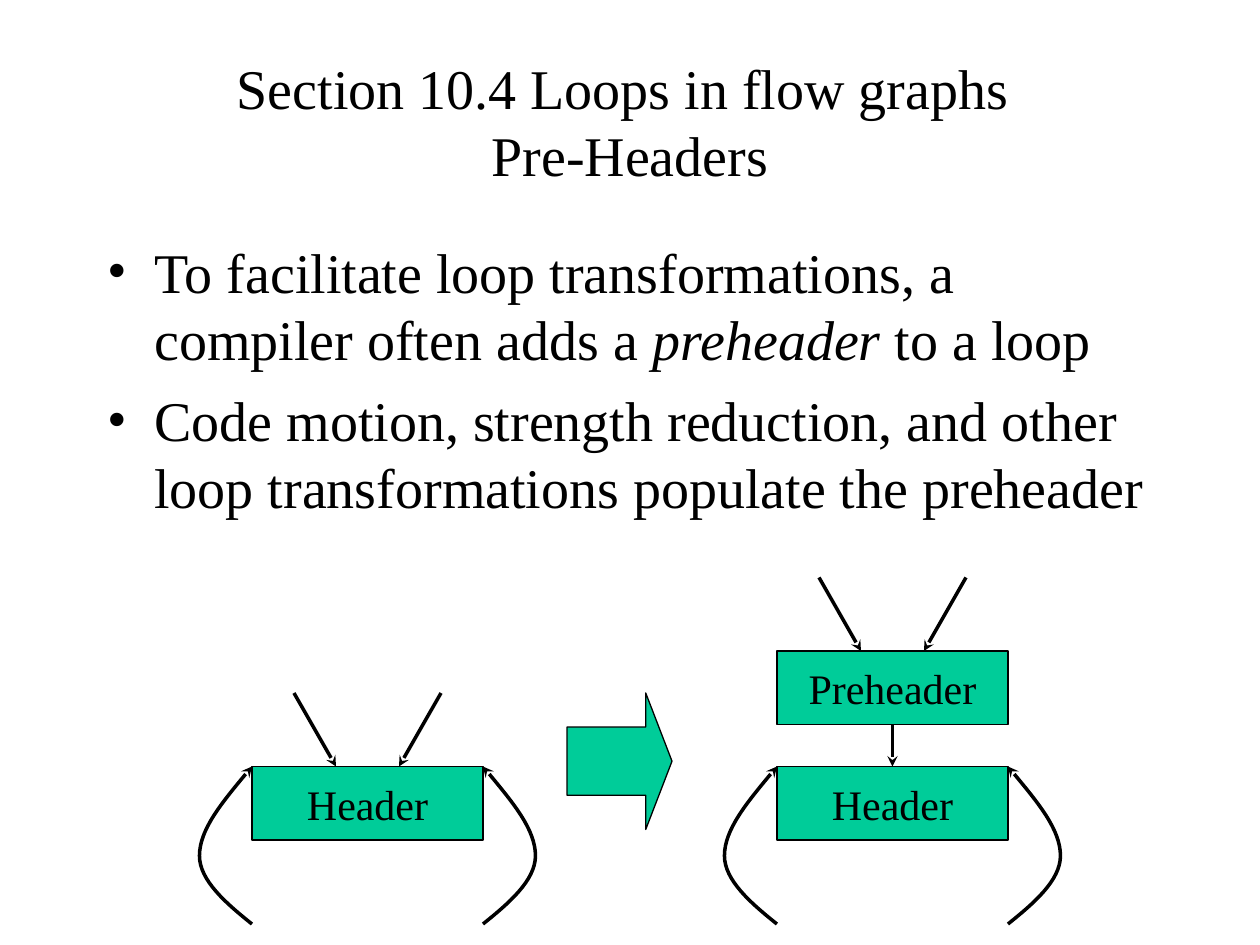
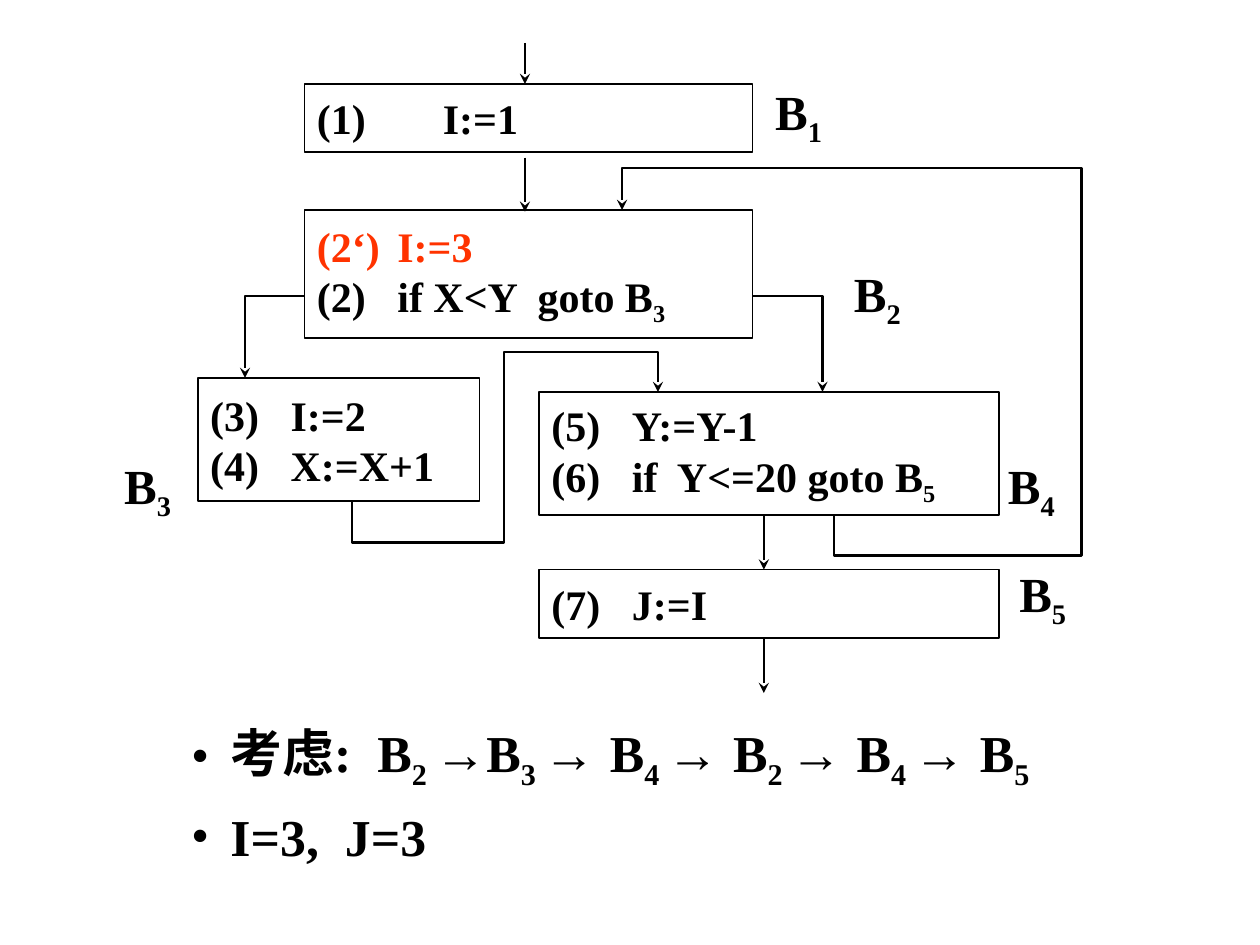
from pptx import Presentation
from pptx.dml.color import RGBColor
from pptx.enum.shapes import MSO_CONNECTOR as Conn, MSO_SHAPE as Kind
from pptx.enum.text import MSO_ANCHOR as Anchor, MSO_AUTO_SIZE as Fit, PP_ALIGN as Align
from pptx.oxml.ns import qn
from pptx.util import Pt
from lxml.etree import SubElement

BLACK = RGBColor(0x00, 0x00, 0x00)
GREEN = RGBColor(0x00, 0xCC, 0x99)
RED = RGBColor(0xFF, 0x33, 0x00)
SERIF, SANS = "Times New Roman", "Arial"


class Deck:
    """Holds the style and the current slide."""

    def __init__(self):
        self.prs = Presentation()
        self.prs.slide_width, self.prs.slide_height = Pt(720), Pt(540)
        self.slide = None

    def page(self):
        self.slide = self.prs.slides.add_slide(self.prs.slide_layouts[1])

    # Text
    def run(self, par, text, size, bold=False, italic=False, sub=False,
            color=BLACK, face=SERIF):
        run = par.add_run()
        run.text = text
        font = run.font
        font.name, font.size = face, Pt(size)
        font.bold, font.italic = bold, italic
        font.color.rgb = color
        if sub:
            run._r.get_or_add_rPr().set("baseline", "-25000")

    def frame(self, shape, anchor, wrap=True):
        frame = shape.text_frame
        frame.auto_size, frame.word_wrap = Fit.NONE, wrap
        frame.vertical_anchor = anchor
        return frame

    def place(self, shape, box):
        shape.left, shape.top, shape.width, shape.height = map(Pt, box)

    def title(self, lines, box):
        shape = self.slide.shapes.title
        self.place(shape, box)
        par = self.frame(shape, Anchor.MIDDLE).paragraphs[0]
        par.alignment = Align.CENTER
        for i, line in enumerate(lines):
            if i:
                par.add_line_break()
            self.run(par, line, 32)

    def drop_title(self):
        item = self.slide.shapes.title._element
        item.getparent().remove(item)

    def bullets(self, items, box, size, left, hang, level=0, bold=False):
        shape = self.slide.placeholders[1]
        self.place(shape, box)
        frame = self.frame(shape, Anchor.TOP)
        for i, runs in enumerate(items):
            par = frame.add_paragraph() if i else frame.paragraphs[0]
            par.level, par.space_before = level, Pt(8)
            props = par._p.get_or_add_pPr()
            props.set("marL", str(Pt(left)))
            props.set("indent", str(-Pt(hang)))
            SubElement(props, qn("a:buFont"), typeface=SERIF)
            SubElement(props, qn("a:buChar"), char="•")
            for text, style in runs:
                self.run(par, text, size, bold=bold, **style)

    def label(self, num, x, y):
        shape = self.slide.shapes.add_textbox(Pt(x), Pt(y), Pt(36.7), Pt(46.8))
        par = self.frame(shape, Anchor.MIDDLE, False).paragraphs[0]
        par.alignment = Align.CENTER
        self.run(par, "B", 28, bold=True)
        self.run(par, num, 28, bold=True, sub=True)

    # Shapes
    def shape(self, kind, box, fill=None, width=0.75):
        shape = self.slide.shapes.add_shape(kind, *map(Pt, box))
        shape.shadow.inherit = False
        if fill is None:
            shape.fill.background()
        else:
            shape.fill.solid()
            shape.fill.fore_color.rgb = fill
        shape.line.color.rgb, shape.line.width = BLACK, Pt(width)
        return shape

    def node(self, text, x, y):
        shape = self.shape(Kind.RECTANGLE, (x, y, 132, 42), GREEN)
        par = self.frame(shape, Anchor.MIDDLE).paragraphs[0]
        par.alignment = Align.CENTER
        self.run(par, text, 24)

    def code(self, lines, box, tab=46):
        shape = self.shape(Kind.RECTANGLE, box, width=1)
        frame = self.frame(shape, Anchor.MIDDLE)
        for i, runs in enumerate(lines):
            par = frame.add_paragraph() if i else frame.paragraphs[0]
            par.alignment = Align.LEFT
            tabs = SubElement(par._p.get_or_add_pPr(), qn("a:tabLst"))
            SubElement(tabs, qn("a:tab"), pos=str(Pt(tab)), algn="l")
            for text, style in runs:
                self.run(par, text, 24, bold=True, **style)

    # Arrows
    def stroke(self, shape, width):
        shape.line.color.rgb, shape.line.width = BLACK, Pt(width)
        props = shape._element.spPr
        SubElement(props.find(qn("a:ln")), qn("a:tailEnd"), type="stealth")
        SubElement(props, qn("a:effectLst"))

    def arrow(self, x1, y1, x2, y2, width):
        line = self.slide.shapes.add_connector(
            Conn.STRAIGHT, Pt(x1), Pt(y1), Pt(x2), Pt(y2))
        self.stroke(line, width)

    def route(self, points, width):
        spots = [(Pt(x), Pt(y)) for x, y in points]
        form = self.slide.shapes.build_freeform(*spots[0])
        form.add_line_segments(spots[1:], close=False)
        shape = form.convert_to_shape()
        shape.fill.background()
        self.stroke(shape, width)
        return shape

    def curve(self, points, width):
        """Each three points after the first make one Bezier segment."""
        shape = self.route(points, width)
        track = shape._element.spPr.find(".//" + qn("a:path"))
        steps = track.findall(qn("a:lnTo"))
        for i in range(0, len(steps), 3):
            bend = SubElement(track, qn("a:cubicBezTo"))
            for step in steps[i:i + 3]:
                bend.append(step[0])
                track.remove(step)

    # Loop diagram parts
    def entry(self, x, y):
        for start, end in ((24, 48), (108, 84)):
            self.arrow(x + start, y - 42, x + end, y, 2)

    def header(self, x, y):
        self.node("Header", x, y)
        bend = ((0, 90), (15, 78), (30, 65), (30, 51),
                (30, 36), (15, 18), (0, 0))
        for edge, sign in ((x, -1), (x + 132, 1)):
            self.curve([(edge + sign * dx, y + dy) for dx, dy in bend], 2)


def loops(deck):
    deck.page()
    deck.title(("Section 10.4 Loops in flow graphs ", "Pre-Headers"),
               (54, 12, 612, 114))
    deck.bullets([
        [("To facilitate loop transformations, a compiler often adds a ", {}),
         ("preheader", {"italic": True}), (" to a loop", {})],
        [("Code motion, strength reduction, and other loop transformations "
          "populate the preheader", {})],
    ], (54, 132, 612, 360), 32, 27, 27)

    # Before and after
    old, new, top, pre = 144, 444, 438, 372
    deck.header(old, top)
    deck.entry(old, top)
    deck.header(new, top)
    deck.node("Preheader", new, pre)
    deck.entry(new, pre)
    deck.arrow(new + 66, pre + 42, new + 66, top, 2)
    block = deck.shape(Kind.RIGHT_ARROW, (324, 396, 60, 78), GREEN)
    block.adjustments[0], block.adjustments[1] = 0.5, 0.25


def flow(deck):
    deck.page()
    deck.drop_title()
    sub = {"sub": True}

    # Basic blocks
    deck.code([[("(1)\tI:=1", {})]], (174, 48, 256, 39), tab=72)
    deck.code([[("(2‘)\tI:=3", {"color": RED})],
               [("(2)\tif X<Y  goto B", {}), ("3", sub)]],
              (174, 120, 256, 73))
    deck.code([[("(3)\tI:=2", {})], [("(4)\tX:=X+1", {})]],
              (113, 216, 161, 70.5))
    deck.code([[("(5)\tY:=Y-1", {})],
               [("(6)\tif  Y<=20 goto B", {}), ("5", sub)]],
              (308, 224, 263, 70.5))
    deck.code([[("(7)\tJ:=I", {})]], (308, 325.5, 263, 39))
    spots = ((438, 42), (483, 146), (66, 256), (571, 256), (577.5, 317.5))
    for num, (x, y) in enumerate(spots, 1):
        deck.label(str(num), x, y)

    # Control flow
    for x, y1, y2 in ((300, 24.5, 48), (300, 90, 121),
                      (436.5, 294.5, 325.5), (436.5, 365, 396)):
        deck.arrow(x, y1, x, y2, 1.25)
    for points in (
        ((174, 169), (140, 169), (140, 216)),
        ((430, 169), (470, 169), (470, 224)),
        ((476.5, 294), (476.5, 317.5), (618, 317.5), (618, 96),
         (355.5, 96), (355.5, 120)),
        ((201, 286.5), (201, 310), (288, 310), (288, 201),
         (376, 201), (376, 224)),
    ):
        deck.route(points, 1.25)

    # Path to consider
    trace = [("考虑:  B", {}), ("2 ", sub), ("→", {"face": SANS})]
    for num in "3424":
        trace += [("B", {}), (num + " ", sub), ("→ ", {"face": SANS})]
    trace += [("B", {}), ("5", sub)]
    deck.bullets([trace, [("I=3,  J=3", {})]],
                 (66, 408, 612, 96), 29.6, 58.5, 22.5, level=1, bold=True)


def main():
    deck = Deck()
    loops(deck)
    flow(deck)
    deck.prs.save("out.pptx")


if __name__ == "__main__":
    main()
